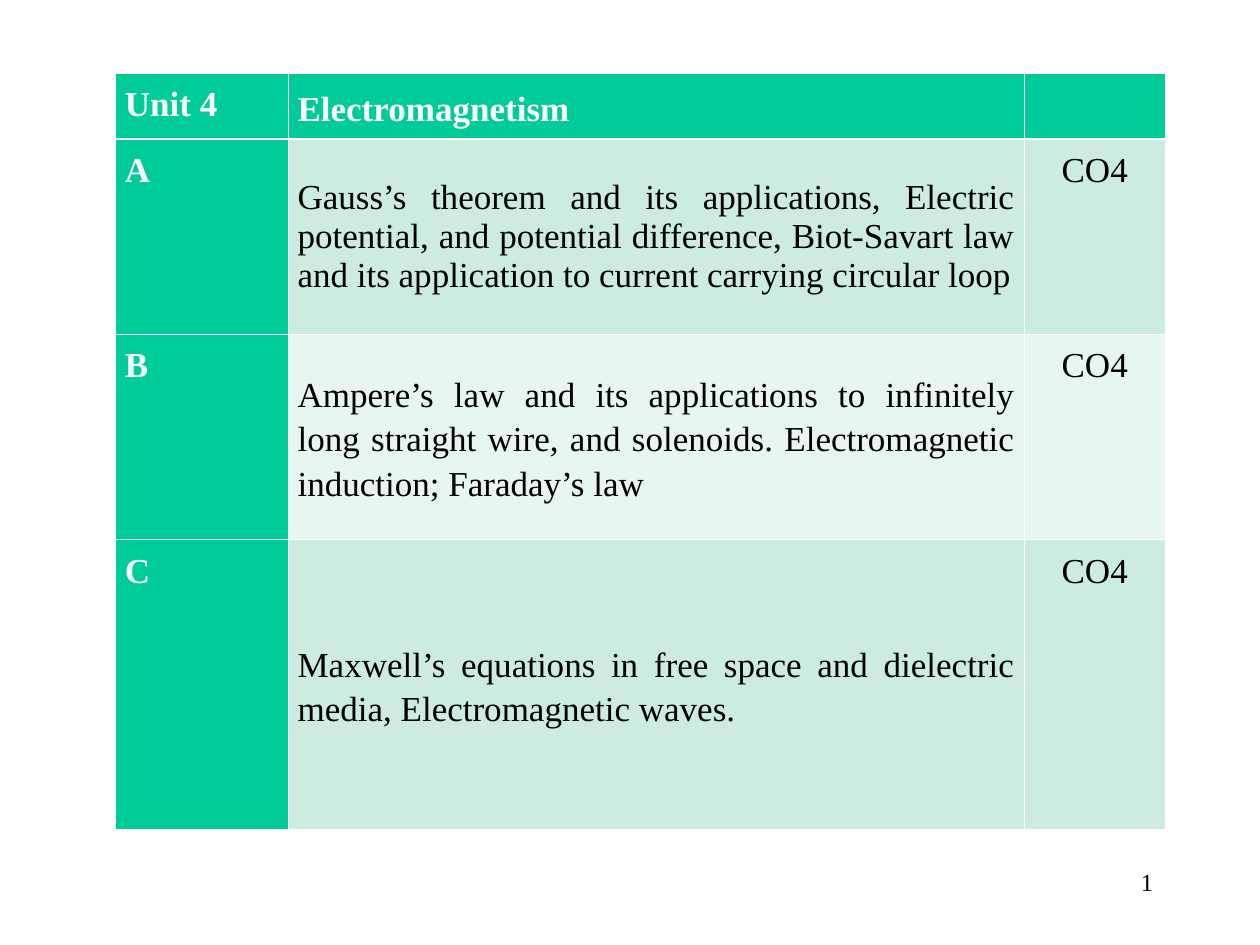
"""Build a syllabus slide: the unit on electromagnetism as a three-column table."""
from dataclasses import dataclass

from lxml import etree
from pptx import Presentation
from pptx.dml.color import RGBColor
from pptx.enum.text import MSO_ANCHOR, PP_ALIGN
from pptx.oxml.ns import qn
from pptx.table import Table, _Cell
from pptx.text.text import TextFrame
from pptx.util import Pt

LEFT, CENTER, RIGHT, JUSTIFY = PP_ALIGN.LEFT, PP_ALIGN.CENTER, PP_ALIGN.RIGHT, PP_ALIGN.JUSTIFY
TOP, MIDDLE = MSO_ANCHOR.TOP, MSO_ANCHOR.MIDDLE

FONT = "Times New Roman"
COLORS = {
    "accent": "00CC99",
    "band_dark": "CBECDE",
    "band_light": "E7F6EF",
    "white": "FFFFFF",
    "black": "000000",
}
COLUMN_WIDTHS = (98.7, 420.6, 80.7)
THIN, THICK = 0.45, 1.47


@dataclass(frozen=True)
class Style:
    size: float = 20
    color: str = "black"
    bold: bool = False
    align: PP_ALIGN = LEFT
    anchor: MSO_ANCHOR = TOP
    line_spacing: float = 1.15
    space_after: float = 0


@dataclass(frozen=True)
class SyllabusRow:
    label: str
    topic: str
    outcome: str
    height: float
    band: str
    topic_style: Style


HEADING = Style(color="white", bold=True)
UNIT_TITLE = Style(color="white", bold=True, anchor=MIDDLE, space_after=10)
TOPIC = Style(align=JUSTIFY, anchor=MIDDLE, space_after=10)
TIGHT_TOPIC = Style(align=JUSTIFY, anchor=MIDDLE, line_spacing=1)
OUTCOME = Style(align=CENTER)
PAGE_NUMBER = Style(size=14, align=RIGHT, line_spacing=1)

SYLLABUS = (
    SyllabusRow("Unit 4", "Electromagnetism", "", 37.4, "accent", UNIT_TITLE),
    SyllabusRow(
        "A",
        "Gauss’s theorem and its applications, Electric potential, and potential difference, "
        "Biot-Savart law and its application to current carrying circular loop",
        "CO4", 111.6, "band_dark", TIGHT_TOPIC,
    ),
    SyllabusRow(
        "B",
        "Ampere’s law and its applications to infinitely long straight wire, and solenoids. "
        "Electromagnetic induction; Faraday’s law",
        "CO4", 117.4, "band_light", TOPIC,
    ),
    SyllabusRow(
        "C",
        "Maxwell’s equations in free space and dielectric media, Electromagnetic waves.",
        "CO4", 165.6, "band_dark", TOPIC,
    ),
)


def write(frame: TextFrame, text: str, style: Style) -> None:
    """Write one styled paragraph into a text frame."""
    paragraph = frame.paragraphs[0]
    paragraph.alignment = style.align
    paragraph.line_spacing = style.line_spacing
    paragraph.space_after = Pt(style.space_after)
    if text:
        run = paragraph.add_run()
        run.text = text
        run.font.name = FONT
        run.font.size = Pt(style.size)
        run.font.bold = style.bold
        run.font.color.rgb = RGBColor.from_string(COLORS[style.color])


def set_borders(cell: _Cell, top: float, bottom: float) -> None:
    """Draw white borders on the four sides of a cell."""
    properties = cell._tc.get_or_add_tcPr()
    for side, width in (("L", THIN), ("R", THIN), ("T", top), ("B", bottom)):
        line = etree.SubElement(properties, qn(f"a:ln{side}"), w=str(Pt(width)))
        solid = etree.SubElement(line, qn("a:solidFill"))
        etree.SubElement(solid, qn("a:srgbClr"), val=COLORS["white"])


def fill_row(table: Table, index: int, row: SyllabusRow) -> None:
    """Fill one table row with its label, topic and outcome."""
    table.rows[index].height = Pt(row.height)
    top = THICK if index == 1 else THIN
    bottom = THICK if index == 0 else THIN
    parts = (
        (row.label, HEADING, "accent"),
        (row.topic, row.topic_style, row.band),
        (row.outcome, OUTCOME, row.band),
    )
    for cell, (text, style, background) in zip(table.rows[index].cells, parts):
        set_borders(cell, top, bottom)
        cell.fill.solid()
        cell.fill.fore_color.rgb = RGBColor.from_string(COLORS[background])
        cell.margin_left = cell.margin_right = Pt(5.4)
        cell.margin_top = cell.margin_bottom = Pt(3.6)
        cell.vertical_anchor = style.anchor
        write(cell.text_frame, text, style)


def main() -> None:
    """Build and save the slide."""
    presentation = Presentation()
    presentation.slide_width, presentation.slide_height = Pt(720), Pt(540)
    slide = presentation.slides.add_slide(presentation.slide_layouts[6])

    page_number = slide.shapes.add_textbox(Pt(516), Pt(492), Pt(150), Pt(36)).text_frame
    page_number.word_wrap = True
    write(page_number, "1", PAGE_NUMBER)

    syllabus = slide.shapes.add_table(
        len(SYLLABUS), len(COLUMN_WIDTHS), Pt(66), Pt(42),
        Pt(sum(COLUMN_WIDTHS)), Pt(sum(row.height for row in SYLLABUS)),
    ).table
    syllabus.first_col = True
    for column, width in zip(syllabus.columns, COLUMN_WIDTHS):
        column.width = Pt(width)
    for index, row in enumerate(SYLLABUS):
        fill_row(syllabus, index, row)

    presentation.save("out.pptx")


if __name__ == "__main__":
    main()
